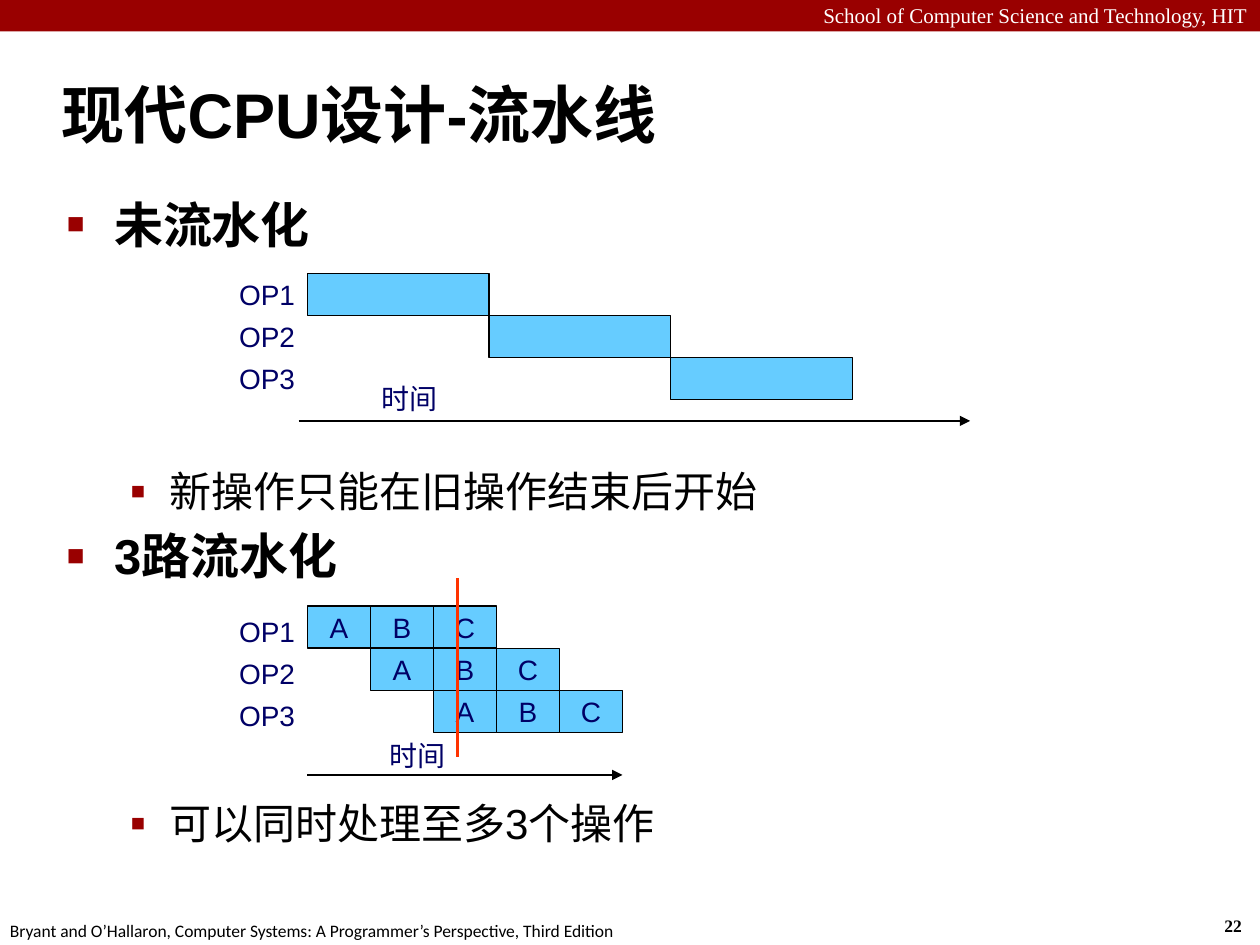
from dataclasses import dataclass

import lxml.etree
import pptx
import pptx.dml.color
import pptx.enum.shapes
import pptx.enum.text
import pptx.oxml.ns
import pptx.util

Pt = pptx.util.Pt
qn = pptx.oxml.ns.qn
ALIGN = pptx.enum.text.PP_ALIGN
ANCHOR = pptx.enum.text.MSO_ANCHOR


@dataclass(frozen=True)
class Theme:
    red: str = "990000"
    bar: str = "66CCFF"
    navy: str = "000066"
    marker: str = "FF3300"
    black: str = "000000"
    white: str = "FFFFFF"
    sans: str = "Arial"
    serif: str = "Times New Roman"
    footer: str = "Calibri"
    title: int = 36
    topic: int = 28
    point: int = 24
    label: int = 16
    header: int = 12
    small: int = 10


THEME = Theme()
LABEL = {"size": THEME.label, "name": THEME.sans, "color": THEME.navy}
ROW = 24.1
LABEL_LEFT, LABEL_WIDTH = 126, 49.7
CHART_LEFT = LABEL_LEFT + LABEL_WIDTH
BULLETS = {0: ("■", 60, 27, THEME.topic), 1: ("▪", 110, 22.5, THEME.point)}


def rgb(value):
    return pptx.dml.color.RGBColor.from_string(value)


def set_attrs(obj, values):
    for name, value in values.items():
        setattr(obj, name, value)


def write(p, text, size, name, color, bold=False, align=ALIGN.LEFT):
    p.alignment = align
    r = p.add_run()
    r.text = text
    set_attrs(r.font, {"size": Pt(size), "name": name, "bold": bold})
    r.font.color.rgb = rgb(color)


def format_frame(tf, wrap=True, anchor=ANCHOR.TOP):
    set_attrs(tf, {
        "word_wrap": wrap, "vertical_anchor": anchor,
        "auto_size": pptx.enum.text.MSO_AUTO_SIZE.NONE,
        "margin_left": Pt(7.2), "margin_right": Pt(7.2),
        "margin_top": Pt(3.6), "margin_bottom": Pt(3.6),
    })


def add_text(shapes, box, text, wrap=False, **fmt):
    sp = shapes.add_textbox(*map(Pt, box))
    format_frame(sp.text_frame, wrap)
    write(sp.text_frame.paragraphs[0], text, **fmt)


def add_box(shapes, box, fill, outline=True, text="", align=ALIGN.CENTER):
    sp = shapes.add_shape(pptx.enum.shapes.MSO_SHAPE.RECTANGLE, *map(Pt, box))
    sp.shadow.inherit = False
    sp.fill.solid()
    sp.fill.fore_color.rgb = rgb(fill)
    if outline:
        sp.line.color.rgb = rgb(THEME.black)
        sp.line.width = Pt(0.75)
    else:
        sp.line.fill.background()
    if text:
        format_frame(sp.text_frame, False, ANCHOR.MIDDLE)
        write(sp.text_frame.paragraphs[0], text, align=align, **LABEL)


def add_line(shapes, start, end, color, width, arrow=False):
    kind = pptx.enum.shapes.MSO_CONNECTOR.STRAIGHT
    line = shapes.add_connector(kind, *map(Pt, (*start, *end)))
    line.line.color.rgb = rgb(color)
    line.line.width = Pt(width)
    if arrow:
        lxml.etree.SubElement(line.line._get_or_add_ln(), qn("a:tailEnd"), type="triangle")
    lxml.etree.SubElement(line._element.spPr, qn("a:effectLst"))


def add_labels(shapes, top):
    for i in range(3):
        box = (LABEL_LEFT, top + i * ROW, LABEL_WIDTH, ROW)
        add_box(shapes, box, THEME.white, False, f"OP{i + 1}", ALIGN.RIGHT)


def add_time_axis(shapes, left, right, y, text_left, text_top):
    add_line(shapes, (left, y), (right, y), THEME.black, 1, True)
    add_text(shapes, (text_left, text_top, 46.8, 26.6), "时间", **LABEL)


def add_sequential(slide):
    shapes = slide.shapes.add_group_shape().shapes
    top, width = 156.2, 103.8
    add_time_axis(shapes, 170.6, 554.4, 240.5, 211, 214.6)
    add_labels(shapes, top)
    for i in range(3):
        add_box(shapes, (CHART_LEFT + i * width, top + i * ROW, width, ROW), THEME.bar)


def add_pipelined(slide):
    shapes = slide.shapes.add_group_shape().shapes
    top, width = 346.3, 36
    add_time_axis(shapes, CHART_LEFT, 355.7, 442.8, 215.3, 418.3)
    add_labels(shapes, top + 2.3)
    for i in range(3):
        for j, stage in enumerate("ABC"):
            box = (CHART_LEFT + (i + j) * width, top + i * ROW, width, ROW)
            add_box(shapes, box, THEME.bar, text=stage)


def add_bullet(p, text, level, before):
    char, percent, indent, size = BULLETS[level]
    p.level = level
    p.space_before = Pt(before)
    write(p, text, size, THEME.sans, THEME.black, bold=level == 0)
    pPr = p._p.get_or_add_pPr()
    pPr.set("marL", str(Pt(27 if level == 0 else 58.5)))
    pPr.set("indent", str(-Pt(indent)))
    clr = lxml.etree.SubElement(pPr, qn("a:buClr"))
    lxml.etree.SubElement(clr, qn("a:srgbClr"), val=THEME.red)
    lxml.etree.SubElement(pPr, qn("a:buSzPct"), val=str(percent * 1000))
    lxml.etree.SubElement(pPr, qn("a:buFont"), typeface=THEME.sans)
    lxml.etree.SubElement(pPr, qn("a:buChar"), char=char)


def place(sp, box):
    set_attrs(sp, dict(zip(("left", "top", "width", "height"), map(Pt, box))))


def fill_title(slide, text):
    sp = slide.shapes.title
    place(sp, (28, 34.5, 692, 60))
    format_frame(sp.text_frame, anchor=ANCHOR.MIDDLE)
    write(sp.text_frame.paragraphs[0], text, THEME.title, THEME.sans, THEME.black, True)


def fill_body(slide, items):
    sp = slide.placeholders[1]
    place(sp, (31, 107.3, 677, 414.7))
    tf = sp.text_frame
    format_frame(tf)
    for i, item in enumerate(items):
        add_bullet(tf.add_paragraph() if i else tf.paragraphs[0], *item)


def add_page_frame(slide):
    shapes = slide.shapes
    add_box(shapes, (0, 0, 720, 18), THEME.red, False)
    add_text(shapes, (0, -2.2, 720, 21.6), "School of Computer Science and Technology, HIT",
             wrap=True, size=THEME.header, name=THEME.serif, color=THEME.white,
             align=ALIGN.RIGHT)
    add_text(shapes, (692.6, 519.1, 26.6, 19.4), "22", size=THEME.small,
             name=THEME.serif, color=THEME.black, bold=True)
    add_text(shapes, (-1.4, 522, 365.8, 19.4),
             "Bryant and O’Hallaron, Computer Systems: A Programmer’s Perspective, Third Edition",
             size=THEME.small, name=THEME.footer, color=THEME.black)


def main():
    prs = pptx.Presentation()
    set_attrs(prs, {"slide_width": Pt(720), "slide_height": Pt(540)})
    slide = prs.slides.add_slide(prs.slide_layouts[1])
    add_page_frame(slide)
    fill_title(slide, "现代CPU设计-流水线")
    fill_body(slide, [
        ("未流水化", 0, 5.6),
        ("新操作只能在旧操作结束后开始", 1, 121.6),
        ("3路流水化", 0, 5.6),
        ("可以同时处理至多3个操作", 1, 121.6),
    ])
    add_sequential(slide)
    add_pipelined(slide)
    add_line(slide.shapes, (261.4, 330.5), (261.4, 432.7), THEME.marker, 1.5)
    prs.save("out.pptx")


main()
